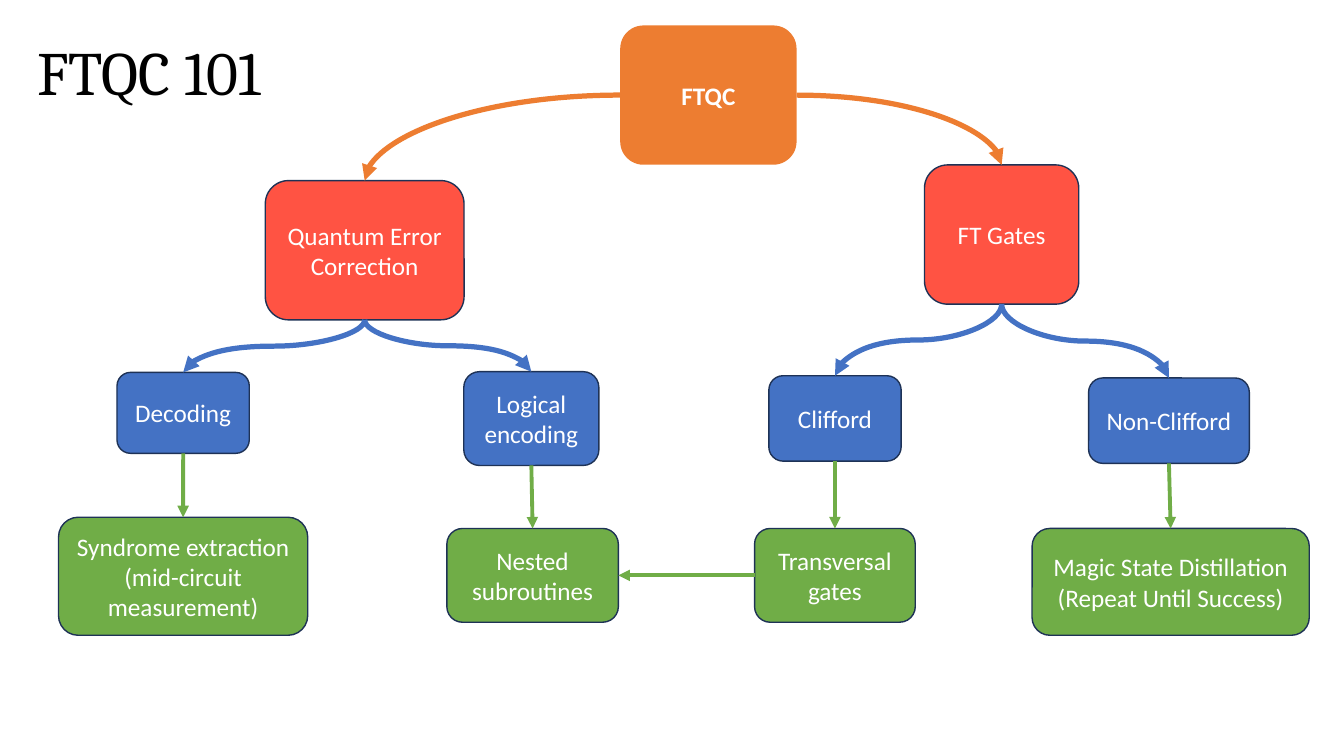
from dataclasses import dataclass

from lxml import etree
from pptx import Presentation
from pptx.dml.color import RGBColor
from pptx.enum.shapes import MSO_CONNECTOR, MSO_SHAPE
from pptx.enum.text import MSO_ANCHOR, PP_ALIGN
from pptx.oxml.ns import qn
from pptx.util import Pt

ROUNDED = MSO_SHAPE.ROUNDED_RECTANGLE
STRAIGHT, CURVE = MSO_CONNECTOR.STRAIGHT, MSO_CONNECTOR.CURVE
MIDDLE = MSO_ANCHOR.MIDDLE
LEFT_ALIGNED, CENTERED = PP_ALIGN.LEFT, PP_ALIGN.CENTER
TOP, LEFT, BOTTOM, RIGHT = range(4)


@dataclass(frozen=True)
class Theme:
    root: str = "ED7D31"
    branch: str = "FF5343"
    topic: str = "4472C4"
    method: str = "70AD47"
    outline: str = "1E3256"
    light: str = "FFFFFF"
    dark: str = "000000"
    title_font: str = "Cambria"
    body_font: str = "Calibri"
    title_size: float = 44
    body_size: float = 18
    outline_width: float = 1
    curve_width: float = 3.75
    arrow_width: float = 2.75


def apply_format(target, values):
    for name, value in values.items():
        setattr(target, name, value)


class TreeSlide:
    """Draws a tree of boxes and arrows on one slide in one theme."""

    def __init__(self, slide, theme):
        self.shapes = slide.shapes
        self.theme = theme

    def fill_text(self, shape, lines, alignment, spacing, color, font):
        frame = shape.text_frame
        apply_format(frame, {"word_wrap": True, "vertical_anchor": MIDDLE})
        frame.text = "\n".join(lines)
        for paragraph in frame.paragraphs:
            apply_format(paragraph, {"alignment": alignment, "line_spacing": spacing})
            for run in paragraph.runs:
                apply_format(run.font, font)
                run.font.color.rgb = RGBColor.from_string(color)

    def title(self, text, bounds):
        shape = self.shapes.add_textbox(*map(Pt, bounds))
        self.fill_text(shape, [text], LEFT_ALIGNED, 0.9, self.theme.dark, {
            "name": self.theme.title_font, "size": Pt(self.theme.title_size)})

    def box(self, lines, bounds, fill, outlined=True, bold=False):
        shape = self.shapes.add_shape(ROUNDED, *map(Pt, bounds))
        shape.shadow.inherit = False
        shape.fill.solid()
        shape.fill.fore_color.rgb = RGBColor.from_string(fill)
        if outlined:
            shape.line.color.rgb = RGBColor.from_string(self.theme.outline)
            shape.line.width = Pt(self.theme.outline_width)
        else:
            shape.line.fill.background()
        self.fill_text(shape, lines, CENTERED, 1.0, self.theme.light, {
            "name": self.theme.body_font, "size": Pt(self.theme.body_size),
            "bold": bold})
        return shape

    def connect(self, kind, start, start_site, end, end_site, color, width):
        connector = self.shapes.add_connector(kind, 0, 0, 0, 0)
        connector.begin_connect(start, start_site)
        connector.end_connect(end, end_site)
        connector.line.color.rgb = RGBColor.from_string(color)
        connector.line.width = Pt(width)
        properties = connector.element.spPr
        etree.SubElement(properties.find(qn("a:ln")), qn("a:tailEnd"), type="triangle")
        etree.SubElement(properties, qn("a:effectLst"))
        return connector

    def arrow(self, start, end, start_site=BOTTOM, end_site=TOP):
        self.connect(STRAIGHT, start, start_site, end, end_site,
                     self.theme.method, self.theme.arrow_width)

    def orient(self, connector, attributes):
        transform = connector.element.spPr.find(qn("a:xfrm"))
        for name in ("flipH", "flipV"):
            transform.attrib.pop(name, None)
        for name, value in attributes.items():
            transform.set(name, value)

    def side_curve(self, start, end, side):
        connector = self.connect(CURVE, start, side, end, TOP,
                                 self.theme.root, self.theme.curve_width)
        connector.element.spPr.find(qn("a:prstGeom")).set("prst", "curvedConnector2")
        if side == LEFT:
            self.orient(connector, {"rot": "10800000", "flipV": "1"})

    def down_curve(self, start, end):
        connector = self.connect(CURVE, start, BOTTOM, end, TOP,
                                 self.theme.topic, self.theme.curve_width)
        leftward = connector.end_x < connector.begin_x
        center_x = connector.left + connector.width // 2
        center_y = connector.top + connector.height // 2
        width, height = connector.height, connector.width
        self.orient(connector, {"rot": "5400000"} if leftward
                    else {"rot": "16200000", "flipH": "1"})
        apply_format(connector, {
            "left": center_x - width // 2, "top": center_y - height // 2,
            "width": width, "height": height})


def main():
    presentation = Presentation()
    presentation.slide_width, presentation.slide_height = Pt(960), Pt(540)
    theme = Theme()
    tree = TreeSlide(presentation.slides.add_slide(presentation.slide_layouts[6]), theme)

    tree.title("FTQC 101", (19.4, 1.4, 241.2, 104.4))
    root = tree.box(["FTQC"], (443, 18.2, 126, 99.5), theme.root, outlined=False, bold=True)
    correction = tree.box(["Quantum Error Correction"], (189.5, 129, 142, 99.5), theme.branch)
    gates = tree.box(["FT Gates"], (660.4, 117.8, 110.2, 99.5), theme.branch)

    decoding = tree.box(["Decoding"], (83.6, 266, 94.5, 57.8), theme.topic)
    encoding = tree.box(["Logical encoding"], (331.3, 265.5, 96.5, 67), theme.topic)
    clifford = tree.box(["Clifford"], (549.2, 268.4, 94.5, 61), theme.topic)
    non_clifford = tree.box(["Non-Clifford"], (777.6, 270, 114.8, 61), theme.topic)

    syndrome = tree.box(["Syndrome extraction", "(mid-circuit measurement)"],
                        (41.8, 369.5, 178, 84.3), theme.method)
    nested = tree.box(["Nested subroutines"], (319.2, 377.5, 122.5, 67), theme.method)
    transversal = tree.box(["Transversal gates"], (539, 377.5, 114.8, 67), theme.method)
    magic = tree.box(["Magic State Distillation", "(Repeat Until Success)"],
                     (737.2, 377.5, 198, 76.3), theme.method)

    tree.side_curve(root, correction, LEFT)
    tree.side_curve(root, gates, RIGHT)
    for branch, topics in ((correction, (decoding, encoding)),
                           (gates, (clifford, non_clifford))):
        for topic in topics:
            tree.down_curve(branch, topic)
    for topic, method in ((decoding, syndrome), (encoding, nested),
                          (clifford, transversal), (non_clifford, magic)):
        tree.arrow(topic, method)
    tree.arrow(transversal, nested, LEFT, RIGHT)

    presentation.save("out.pptx")


if __name__ == "__main__":
    main()
